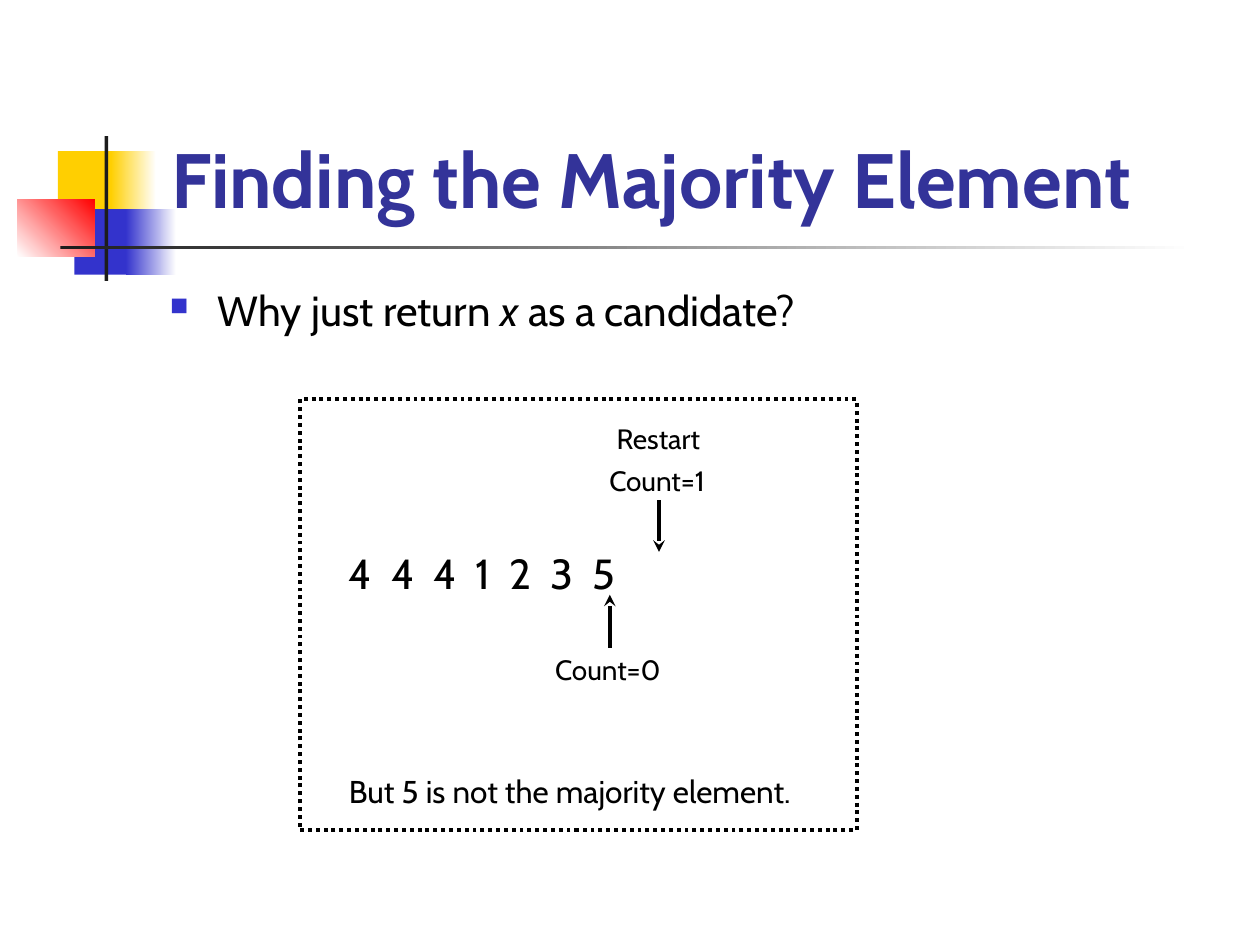
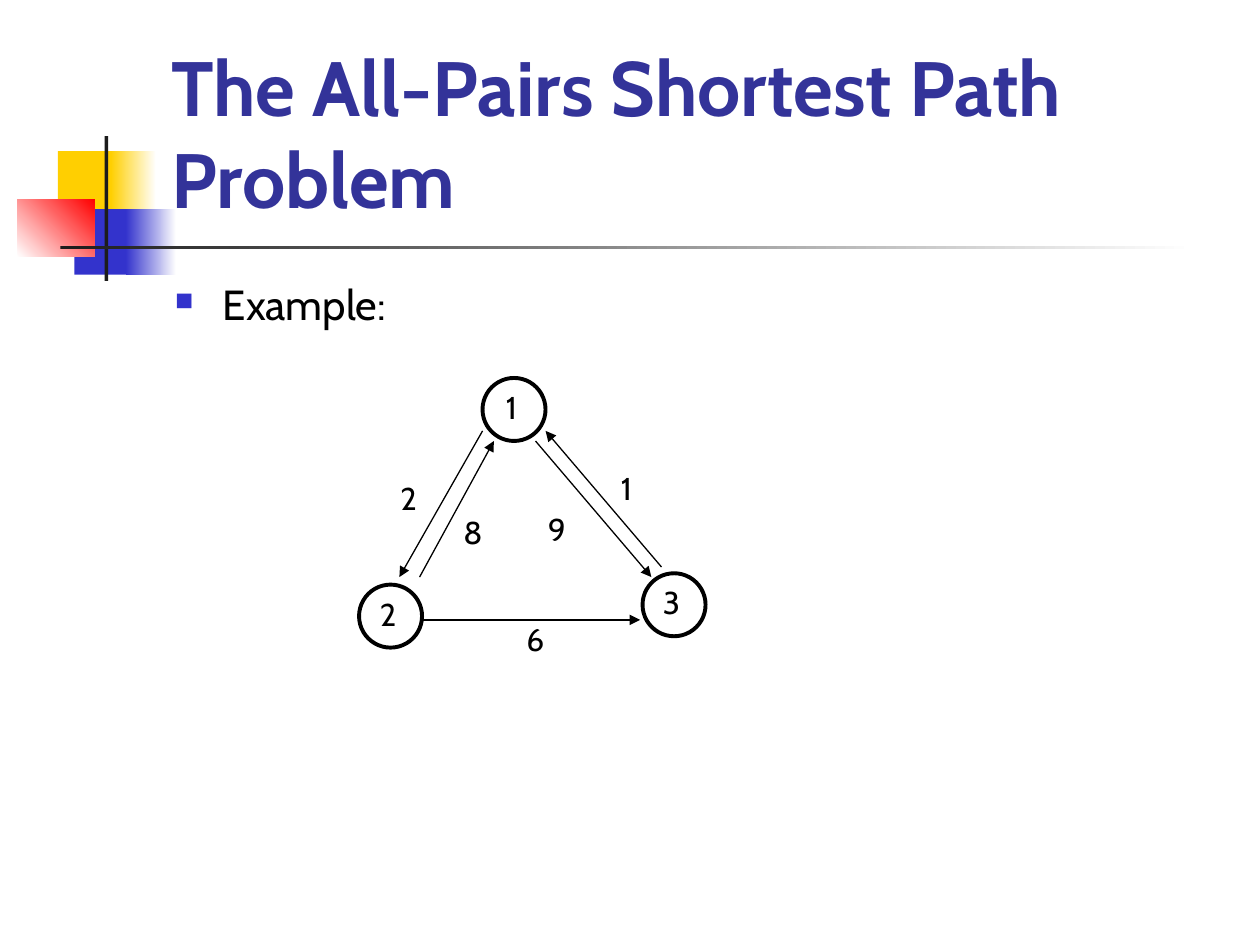
from lxml import etree
from pptx import Presentation
from pptx import util as u
from pptx.dml import color
from pptx.enum import dml, shapes, text
from pptx.oxml import ns

RGB = color.RGBColor
BLACK = RGB(0x00, 0x00, 0x00)
WHITE = RGB(0xFF, 0xFF, 0xFF)
INK = RGB(0x1C, 0x1C, 0x1C)
NAVY = RGB(0x33, 0x33, 0x99)
BLUE = RGB(0x33, 0x33, 0xCC)
GOLD = RGB(0xFF, 0xCF, 0x01)
RED = RGB(0xFF, 0x00, 0x00)
FONT = "Cabin"

RECT = shapes.MSO_SHAPE.RECTANGLE
OVAL = shapes.MSO_SHAPE.OVAL
CENTER = text.PP_ALIGN.CENTER

# Title ornament: box, colours (two make a gradient), gradient angle
DECOR = [
    ((0.46, 1.2, 0.48, 0.52), [GOLD], 0),
    ((0.88, 1.2, 0.36, 0.52), [GOLD, WHITE], 0),
    ((0.59, 1.66, 0.46, 0.52), [BLUE], 0),
    ((1, 1.66, 0.4, 0.52), [BLUE, WHITE], 0),
    ((0.14, 1.58, 0.61, 0.46), [WHITE, RED], 45),
    ((0.83, 1.08, 0.03, 1.15), [INK], 0),
    ((0.48, 1.95, 9, 0.03), [INK, WHITE], 0),
]


def inch(nums):
    return [u.Inches(n) for n in nums]


def add_sub(node, tag, **attrs):
    return etree.SubElement(node, ns.qn(tag), attrs)


def add_text(slide, box, words, size=18, tint=BLACK, bold=False, align=None,
             anchor=text.MSO_ANCHOR.TOP, bullet=False, lines=None, track=0):
    """Words are a string, or a list of (string, italic) runs."""
    frame = slide.shapes.add_textbox(*inch(box)).text_frame
    frame.word_wrap = True
    frame.vertical_anchor = anchor
    para = frame.paragraphs[0]
    if bullet:
        add_bullet(para)
    para.alignment = align
    para.line_spacing = lines
    runs = [(words, False)] if isinstance(words, str) else words
    for part, slant in runs:
        run = para.add_run()
        run.text = part
        font = run.font
        font.name, font.size, font.bold = FONT, u.Pt(size), bold
        font.italic = slant
        font.color.rgb = tint
        if track:
            run._r.get_or_add_rPr().set("spc", str(track))


def add_bullet(para):
    props = para._p.get_or_add_pPr()
    props.set("marL", str(u.Inches(0.38)))
    props.set("indent", str(u.Inches(-0.38)))
    add_sub(add_sub(props, "a:buClr"), "a:srgbClr", val=str(BLUE))
    add_sub(props, "a:buSzPct", val="60000")
    add_sub(props, "a:buChar", char="■")


def add_form(slide, kind, box, tints=(), angle=0, line=0, dash=None):
    form = slide.shapes.add_shape(kind, *inch(box))
    form.shadow.inherit = False
    if len(tints) == 2:
        form.fill.gradient()
        form.fill.gradient_angle = angle
        for stop, tint in zip(form.fill.gradient_stops, tints):
            stop.color.rgb = tint
    elif tints:
        form.fill.solid()
        form.fill.fore_color.rgb = tints[0]
    else:
        form.fill.background()
    if line:
        form.line.color.rgb = BLACK
        form.line.width = u.Pt(line)
        form.line.dash_style = dash
    else:
        form.line.fill.background()


def add_arrow(slide, start, end, width=0.75, head="triangle"):
    link = slide.shapes.add_connector(
        shapes.MSO_CONNECTOR.STRAIGHT, *inch(start + end))
    link.line.color.rgb = BLACK
    link.line.width = u.Pt(width)
    add_sub(link.line._get_or_add_ln(), "a:tailEnd", type=head)
    add_sub(link._element.spPr, "a:effectLst")


def add_node(slide, left, top, name):
    add_form(slide, OVAL, (left, top, 0.5, 0.5), [WHITE], line=2.25)
    add_text(slide, (left - 0.02, top + 0.03, 0.5, 0.4), name, align=CENTER)


def add_page(deck, title):
    slide = deck.slides.add_slide(deck.slide_layouts[6])
    for box, tints, angle in DECOR:
        add_form(slide, RECT, box, tints, angle)
    add_text(slide, (1.26, 0.23, 8.52, 1.6), title, size=44, tint=NAVY,
             bold=True, anchor=text.MSO_ANCHOR.BOTTOM)
    return slide


def add_major(deck):
    slide = add_page(deck, "Finding the Majority Element")
    add_text(slide, (1.25, 2.21, 8.17, 0.63),
             [("Why just return ", False), ("x", True),
              (" as a candidate?", False)], size=24, bullet=True)
    # Number row, spread by letter spacing
    add_text(slide, (2.67, 4.3, 3.92, 0.63), "4 4 4 1 2 3 5",
             size=24, track=270)
    # Counters
    for left, top, note in [(4.2, 5.13, "Count=0"), (4.59, 3.63, "Count=1"),
                            (4.6, 3.3, "Restart")]:
        add_text(slide, (left, top, 1.25, 0.37), note, size=16, align=CENTER)
    for start, end in [((4.84, 5.14), (4.84, 4.72)),
                       ((5.23, 3.97), (5.23, 4.38))]:
        add_arrow(slide, start, end, width=2.25, head="stealth")
    add_text(slide, (2.67, 6.08, 4.92, 0.4),
             "But 5 is not the majority element.")
    add_form(slide, RECT, (2.38, 3.17, 4.42, 3.42), line=2.25,
             dash=dml.MSO_LINE.ROUND_DOT)


def add_paths(deck):
    slide = add_page(deck, "The All-Pairs Shortest Path Problem")
    add_text(slide, (1.29, 2.21, 8.5, 4.5), "Example:", size=24,
             bullet=True, lines=0.9)
    # Graph nodes
    for left, top, name in [(3.83, 3, "1"), (2.85, 4.64, "2"),
                            (5.1, 4.55, "3")]:
        add_node(slide, left, top, name)
    # Edges: start, end, weight, place of the weight
    for start, end, cost, spot in [
        ((3.83, 3.42), (3.17, 4.58), "2", (3.08, 3.75)),
        ((3.33, 4.58), (3.92, 3.5), "8", (3.58, 4.02)),
        ((5.25, 4.5), (4.33, 3.42), "1", (4.83, 3.67)),
        ((4.25, 3.5), (5.17, 4.58), "9", (4.25, 4)),
        ((3.33, 4.92), (5.08, 4.92), "6", (4.08, 4.87)),
    ]:
        add_arrow(slide, start, end)
        add_text(slide, spot + (0.5, 0.4), cost)


def main():
    deck = Presentation()
    deck.slide_width, deck.slide_height = inch((10, 7.5))
    add_major(deck)
    add_paths(deck)
    deck.save("out.pptx")


if __name__ == "__main__":
    main()
